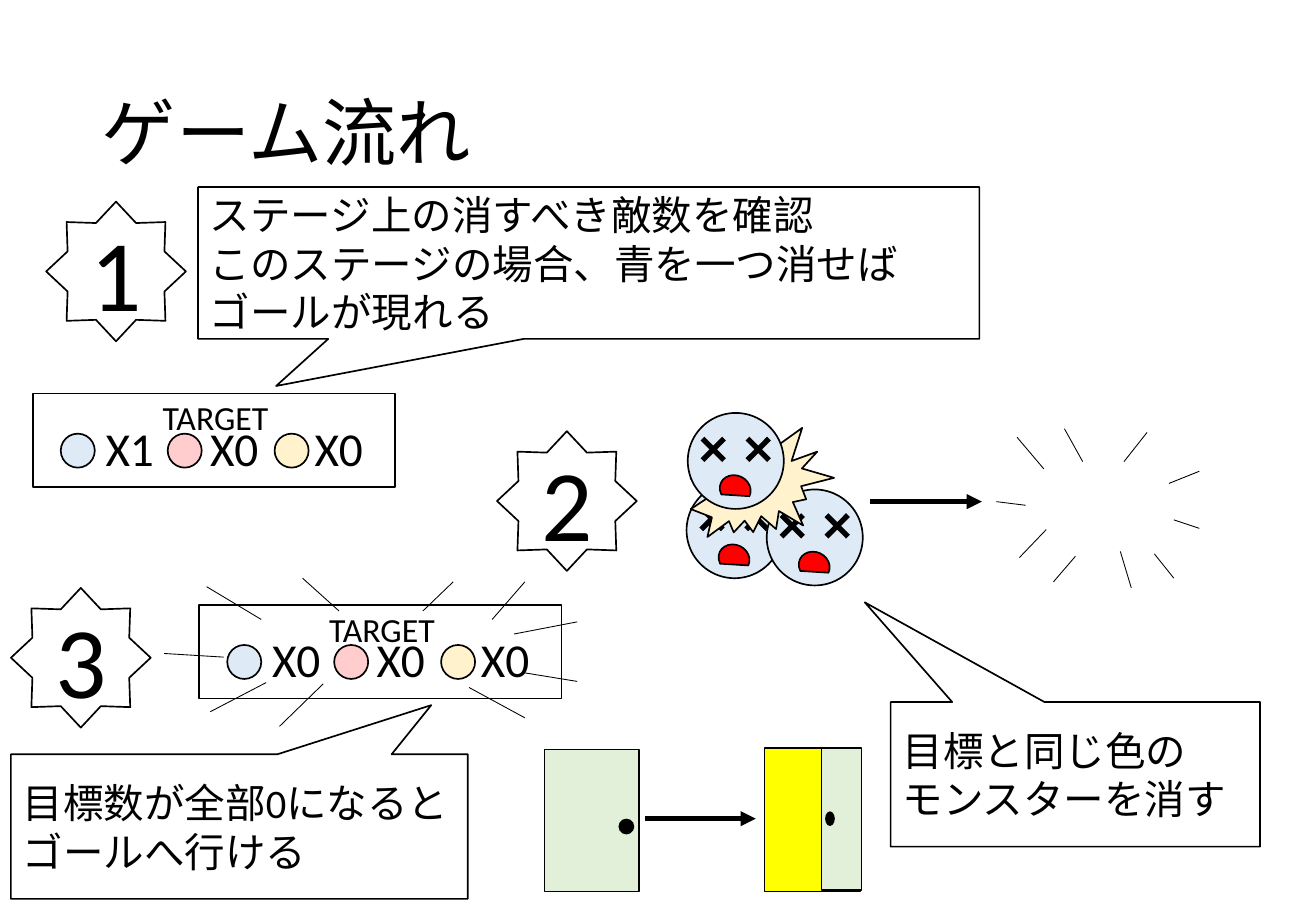
from pptx import Presentation, util as u
from pptx.dml.color import RGBColor
from pptx.enum import shapes, text
from pptx.oxml.ns import qn
from lxml import etree

CELL = u.Inches(0.1)
COLORS = {"ink": "000000", "blue": "DEEBF7", "pink": "FFCDCD", "cream": "FFF2CC",
          "mouth": "FF0000", "door": "E2F0D9", "light": "FFFF00"}
KIND = shapes.MSO_SHAPE

MONSTER_RAYS = [
    (1.7, 0.7, 3.9, 3.3), (5.6, 0, 7.1, 2.7), (0, 6, 2.4, 6.3), (12.4, 0.3, 10.5, 2.7),
    (16.7, 8.2, 14.6, 7.5), (1.9, 10.6, 4.1, 8.3), (4.7, 12.6, 6.5, 10.5),
    (16.7, 3.5, 14.2, 4.5), (14.6, 12.3, 13, 10.3), (11.1, 13.1, 10.2, 10.1)]
TARGET_RAYS = [
    (3.5, 0.7, 8, 3.4), (11.4, 0, 14.4, 2.7), (0, 6.2, 4.9, 6.5), (23.8, 0.3, 21.3, 2.7),
    (34, 8.5, 29.7, 7.8), (3.8, 11, 8.4, 8.6), (9.5, 12.2, 13.1, 8.7),
    (34, 3.6, 28.8, 4.6), (29.7, 11.5, 25.1, 9), (27, 3.4, 29.7, 0.3)]


def color(name):
    return RGBColor.from_string(COLORS[name])


def cells(*lengths):
    return [round(length * CELL) for length in lengths]


def write(frame, lines, size, align=text.PP_ALIGN.LEFT, anchor=text.MSO_ANCHOR.MIDDLE, spacing=None):
    frame.word_wrap = True
    frame.vertical_anchor = anchor
    for index, line in enumerate(lines):
        paragraph = frame.paragraphs[0] if index == 0 else frame.add_paragraph()
        paragraph.text = line
        paragraph.alignment = align
        paragraph.line_spacing = spacing
        paragraph.font.size = u.Pt(size)
        paragraph.font.name = "Calibri"
        paragraph.font.color.rgb = color("ink")


def draw(slide, kind, box, fill=None, outlined=True, rotation=0):
    figure = slide.shapes.add_shape(kind, *cells(*box))
    figure.shadow.inherit = False
    figure.rotation = rotation
    if fill:
        figure.fill.solid()
        figure.fill.fore_color.rgb = color(fill)
    else:
        figure.fill.background()
    if outlined:
        figure.line.color.rgb = color("ink")
        figure.line.width = u.Pt(1)
    else:
        figure.line.fill.background()
    return figure


def label(slide, box, words, size, **style):
    write(slide.shapes.add_textbox(*cells(*box)).text_frame, [words], size, **style)


def stroke(slide, ends, width, arrow=False):
    line = slide.shapes.add_connector(shapes.MSO_CONNECTOR.STRAIGHT, *cells(*ends))
    line.line.color.rgb = color("ink")
    line.line.width = u.Pt(width)
    if arrow:
        etree.SubElement(line.line._get_or_add_ln(), qn("a:tailEnd"), type="triangle")
    etree.SubElement(line._element.spPr, qn("a:effectLst"))


def step_badge(slide, x, y, number):
    star = draw(slide, KIND.STAR_8_POINT, (x, y, 11.5, 11.5))
    write(star.text_frame, [number], 60, align=text.PP_ALIGN.CENTER)


def callout(slide, box, tip, lines):
    bubble = draw(slide, KIND.RECTANGULAR_CALLOUT, box)
    bubble.adjustments[0], bubble.adjustments[1] = tip
    write(bubble.text_frame, lines, 24)


def target_panel(slide, x, y, counts):
    top = text.MSO_ANCHOR.TOP
    draw(slide, KIND.RECTANGLE, (x, y, 29.8, 7.7))
    for column, (fill, count) in enumerate(zip(("blue", "pink", "cream"), counts)):
        draw(slide, KIND.OVAL, (x + 2.3 + 8.8 * column, y + 3.3, 2.8, 2.8), fill)
        label(slide, (x + 5 + 8.6 * column, y + 1.6, 6.2, 4.8), count, 28, anchor=top)
    label(slide, (x + 9.7, y - 0.2, 11.3, 4.4), "TARGET", 20, anchor=top)


def monster(slide, x, y):
    draw(slide, KIND.OVAL, (x, y, 7.9, 7.9), "blue")
    for eye_x in (0.4, 4.1):
        eye = draw(slide, KIND.MATH_MULTIPLY, (x + eye_x, y + 1.3, 3.4, 3.4), "ink", False)
        eye.adjustments[0] = 0.13
    draw(slide, KIND.CHORD, (x + 2.75, y + 5, 2.3, 2.6), "mouth", rotation=115.3)


def rays(slide, x, y, pattern):
    for x1, y1, x2, y2 in pattern:
        stroke(slide, (x + x1, y + y1, x + x2, y + y2), 0.5)


def monster_scene(slide, x, y):
    monster(slide, x, y + 5.7)
    monster(slide, x + 6.6, y + 6.3)
    stroke(slide, (x + 15.1, y + 7.3, x + 24.3, y + 7.3), 3, arrow=True)
    draw(slide, KIND.EXPLOSION2, (x + 0.4, y + 0.5, 11.4, 10.7), "cream", rotation=15)
    monster(slide, x + 0.1, y)
    rays(slide, x + 25.5, y + 1.3, MONSTER_RAYS)


def goal_doors(slide, x, y):
    draw(slide, KIND.RECTANGLE, (x, y + 0.1, 7.8, 11.7), "door")
    draw(slide, KIND.OVAL, (x + 6.1, y + 5.8, 1.3, 1.3), "ink", False)
    stroke(slide, (x + 8.3, y + 5.8, x + 17.4, y + 5.8), 3, arrow=True)
    draw(slide, KIND.RECTANGLE, (x + 18.1, y, 7.9, 11.8), "light")
    draw(slide, KIND.RECTANGLE, (x + 22.8, y, 3.3, 11.7), "door")
    draw(slide, KIND.OVAL, (x + 23.1, y + 5.2, 0.8, 1.2), "ink", False)


def game_flow_slide(deck):
    slide = deck.slides.add_slide(deck.slide_layouts[6])
    label(slide, (7.4, 4, 93.4, 14.5), "ゲーム流れ", 44, spacing=0.9)

    target_panel(slide, 2.7, 32.4, ("X1", "X0", "X0"))
    callout(slide, (16.3, 15.4, 64.3, 12.5), (-0.4, 0.81),
            ["ステージ上の消すべき敵数を確認", "このステージの場合、青を一つ消せばゴールが現れる"])
    step_badge(slide, 3.8, 16.6, "1")

    monster_scene(slide, 56.5, 34)
    step_badge(slide, 40.9, 35.5, "2")
    callout(slide, (73.3, 57.8, 30.4, 11.9), (-0.57, -1.19), ["目標と同じ色の", "モンスターを消す"])

    step_badge(slide, 0.9, 48.4, "3")
    target_panel(slide, 16.4, 49.8, ("X0", "X0", "X0"))
    rays(slide, 13.5, 47.6, TARGET_RAYS)
    callout(slide, (0.9, 62.1, 37.6, 11.9), (0.42, -0.84), ["目標数が全部0になるとゴールへ行ける"])
    goal_doors(slide, 44.8, 61.6)


def main():
    deck = Presentation()
    deck.slide_width, deck.slide_height = u.Inches(10.83), u.Inches(7.5)
    game_flow_slide(deck)
    deck.save("out.pptx")


if __name__ == "__main__":
    main()
